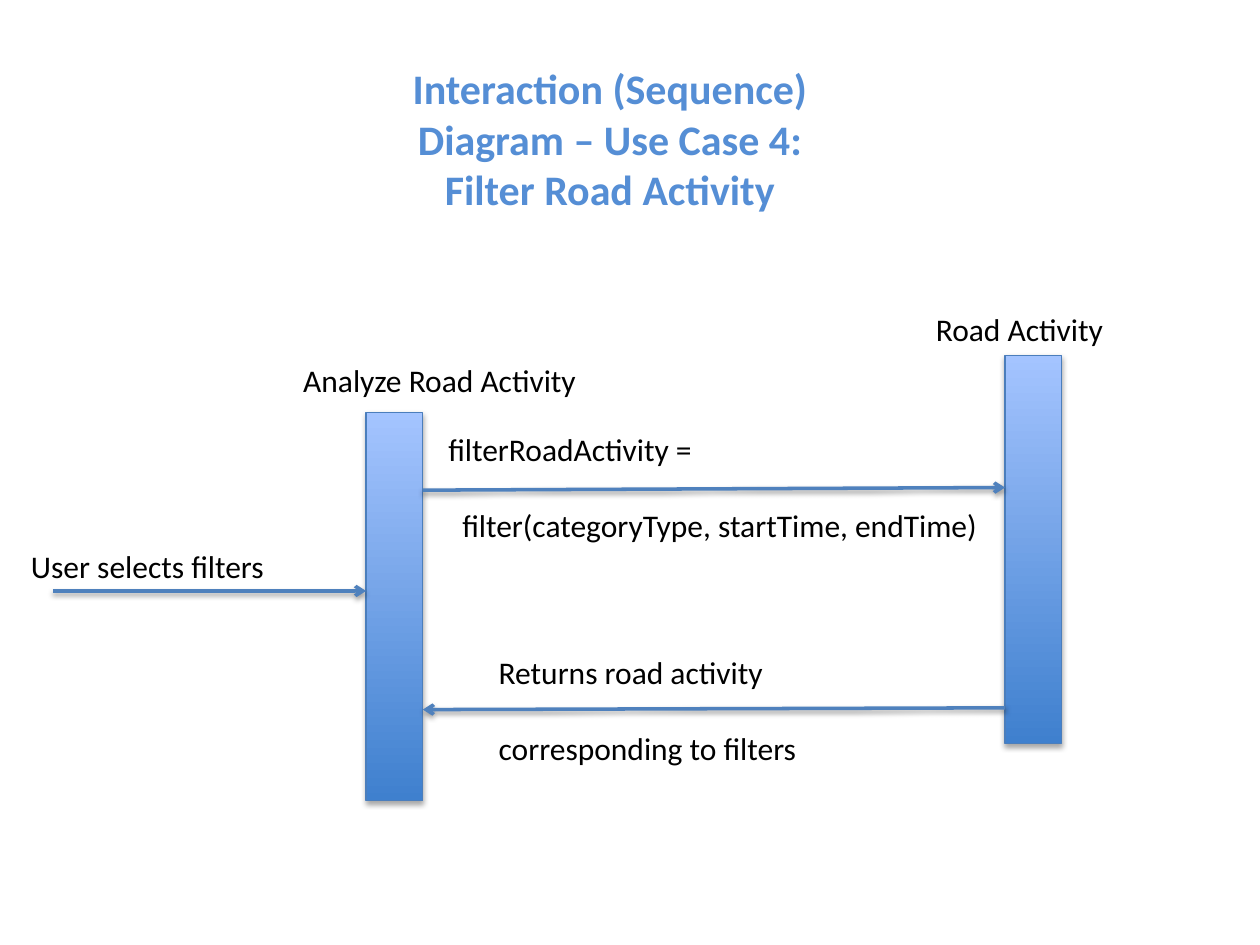
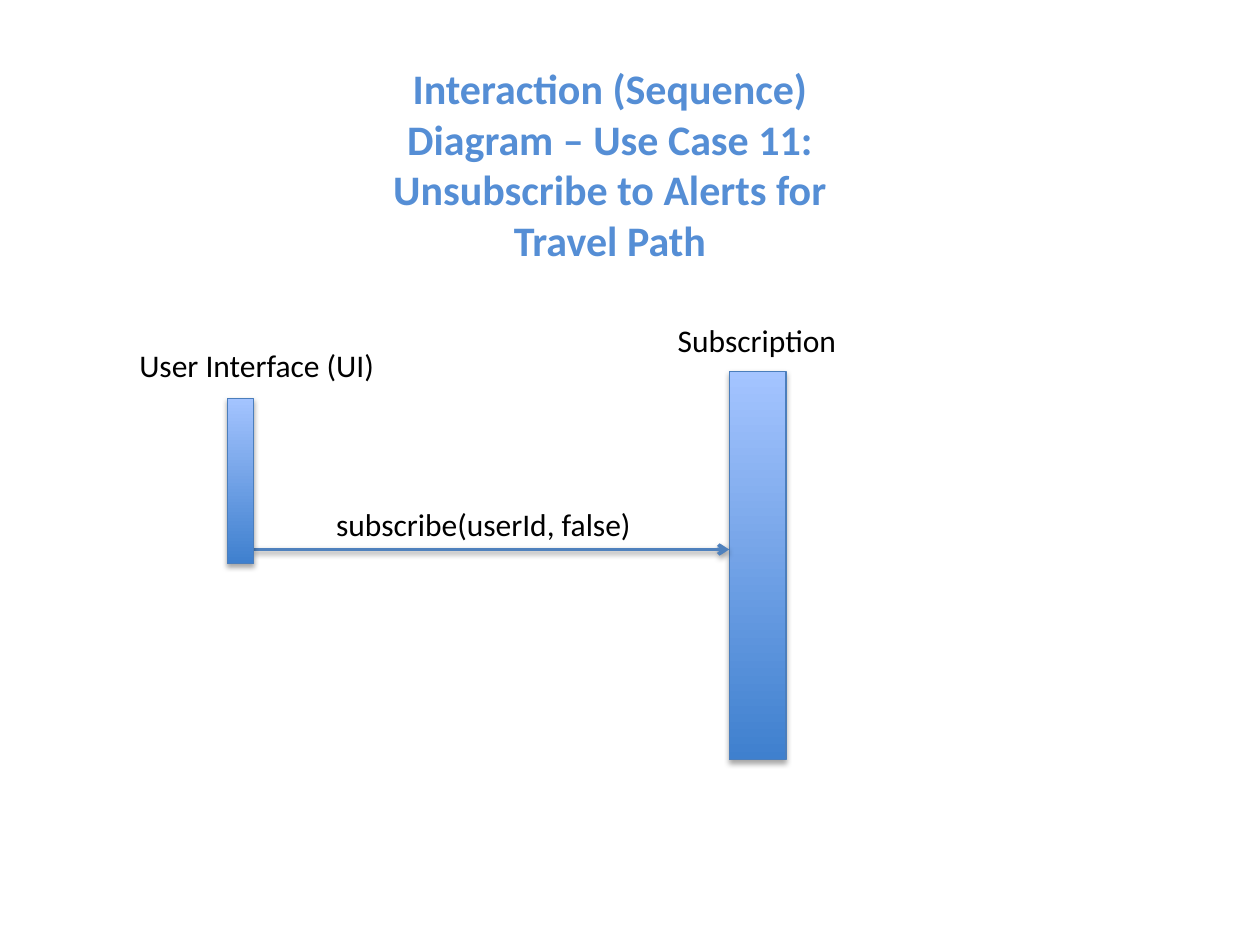
from lxml.etree import SubElement
from pptx import Presentation
from pptx.dml.color import RGBColor
from pptx.enum.shapes import MSO_CONNECTOR, MSO_SHAPE
from pptx.enum.text import MSO_AUTO_SIZE, PP_ALIGN
from pptx.oxml.ns import qn
from pptx.util import Pt

COLORS = {"title": "558ED5", "text": "000000", "dark": "3F80CE",
          "light": "A4C4FF", "edge": "4B7EBC", "arrow": "4F81BD",
          "shade": "000000"}
TITLE = {"name": "Calibri", "size": Pt(24), "bold": True}
LABEL = {"name": "Calibri", "size": Pt(18), "bold": False}
BAR = (32.4, 221.8)
ROW = 29.1
NOTE = 72.7
GAP = 22


def paint(name):
    return RGBColor.from_string(COLORS[name])


def style(item, values):
    for key, value in values.items():
        setattr(item, key, value)


def write(slide, box, lines, font, color, wrap=False, align=PP_ALIGN.LEFT,
          indent=0):
    frame = slide.shapes.add_textbox(*map(Pt, box)).text_frame
    style(frame, {"word_wrap": wrap,
                  "auto_size": MSO_AUTO_SIZE.SHAPE_TO_FIT_TEXT})
    for index, line in enumerate(lines):
        para = frame.add_paragraph() if index else frame.paragraphs[0]
        para.alignment = align
        if index:
            para.space_before = Pt(GAP)
            para._p.get_or_add_pPr().set("marL", str(Pt(indent)))
        run = para.add_run()
        run.text = line
        style(run.font, font)
        run.font.color.rgb = paint(color)


def shade(shape, alpha, dist):
    props = shape._element.spPr
    effects = props.find(qn("a:effectLst"))
    if effects is None:
        effects = SubElement(props, qn("a:effectLst"))
    outer = SubElement(effects, qn("a:outerShdw"), blurRad=str(Pt(3.1)),
                       dist=str(Pt(dist)), dir="5400000", rotWithShape="0")
    tint = SubElement(outer, qn("a:srgbClr"), val=COLORS["shade"])
    SubElement(tint, qn("a:alpha"), val=str(alpha * 1000))


def title(slide, box, text):
    write(slide, box, [text], TITLE, "title", True, PP_ALIGN.CENTER)


def bar(slide, box, name, shift, width):
    left, top = box[:2]
    shape = slide.shapes.add_shape(MSO_SHAPE.RECTANGLE, *map(Pt, box))
    shape.fill.gradient()
    shape.fill.gradient_angle = 90
    for stop, color, place in zip(shape.fill.gradient_stops,
                                  ("dark", "light"), (0, 1)):
        stop.color.rgb = paint(color)
        stop.position = place
    shape.line.color.rgb = paint("edge")
    shape.line.width = Pt(0.75)
    shape.shadow.inherit = False
    shade(shape, 35, 1.8)
    write(slide, (left + shift[0], top + shift[1], width, ROW), [name],
          LABEL, "text")


def message(slide, start, end, lines, shift, width, indent=0):
    line = slide.shapes.add_connector(MSO_CONNECTOR.STRAIGHT,
                                      *map(Pt, start + end))
    line.line.color.rgb = paint("arrow")
    line.line.width = Pt(2)
    SubElement(line.line._get_or_add_ln(), qn("a:tailEnd"), type="arrow")
    shade(line, 38, 1.6)
    left, top = min(start[0], end[0]), start[1]
    high = NOTE if len(lines) > 1 else ROW
    write(slide, (left + shift[0], top + shift[1], width, high), lines,
          LABEL, "text", indent=indent)


def filters(slide):
    title(slide, (209.5, 32.4, 278, 94.3),
          "Interaction (Sequence) Diagram – Use Case 4: "
          "Filter Road Activity")
    near, far = 209.2, 574.3
    edge = near + BAR[0]
    bar(slide, (near, 235.8, *BAR), "Analyze Road Activity",
        (-43, -32.9), 172.8)
    message(slide, (30.2, 337.7), (near, 337.7), ["User selects filters"],
            (-19.6, -28.8), 149.8)
    bar(slide, (far, 203, *BAR), "Road Activity", (-46.6, -29.3), 111.6)
    message(slide, (edge, 280.1), (far, 278.6),
            ["filterRoadActivity =",
             "filter(categoryType, startTime, endTime)"],
            (7.5, -38), 321.8, 8)
    message(slide, (far, 404.5), (edge, 405.5),
            ["Returns road activity", "corresponding to filters"],
            (36.3, -35), 187.2)


def alerts(slide):
    title(slide, (209.5, 32.4, 278, 123.8),
          "Interaction (Sequence) Diagram – Use Case 11: "
          "Unsubscribe to Alerts for Travel Path")
    near, far, thin = 129.9, 416.7, 15.1
    bar(slide, (far, 212.3, *BAR), "Subscription", (-36.5, -32.3), 105.8)
    message(slide, (near + thin, 314), (far, 314),
            ["subscribe(userId, false)"], (40, -28.9), 185)
    bar(slide, (near, 227.6, thin, 94.5), "User Interface (UI)",
        (-57.4, -33.2), 150.5)


deck = Presentation()
style(deck, {"slide_width": Pt(720), "slide_height": Pt(540)})
for build in (filters, alerts):
    build(deck.slides.add_slide(deck.slide_layouts[6]))
deck.save("out.pptx")
